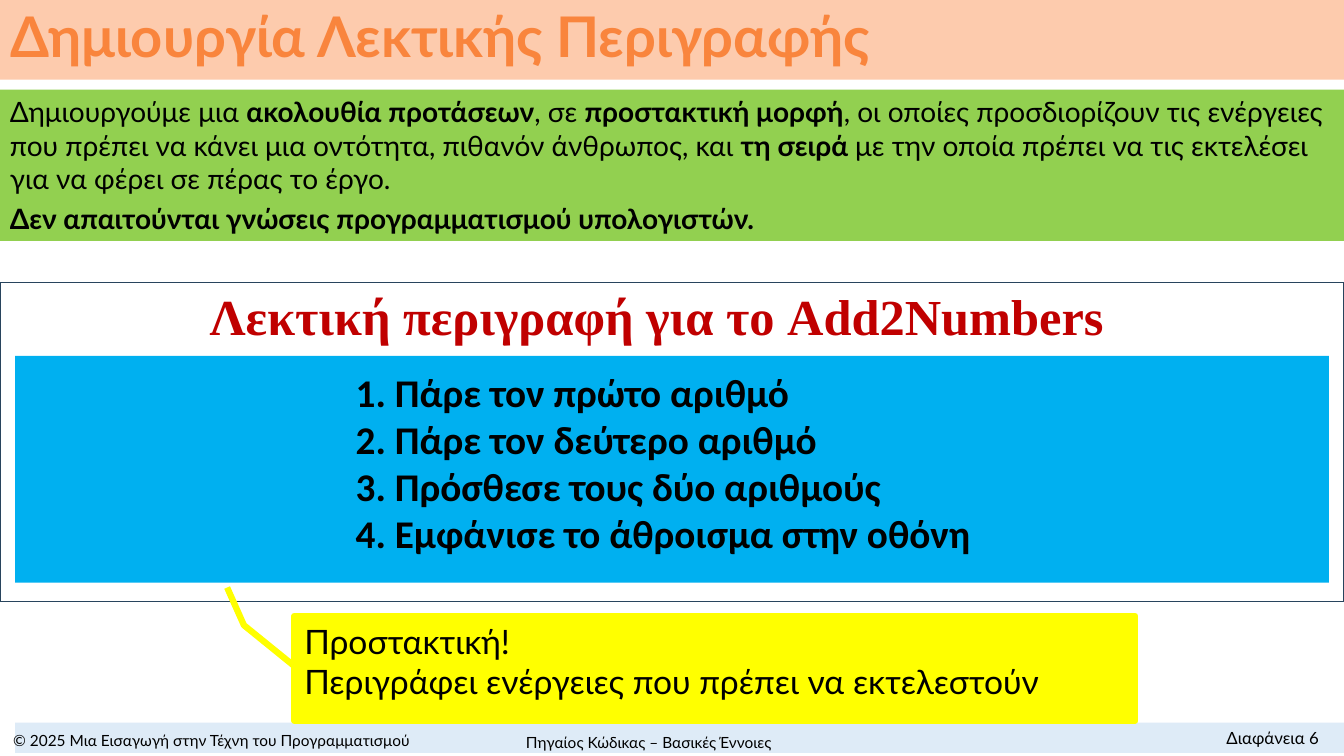
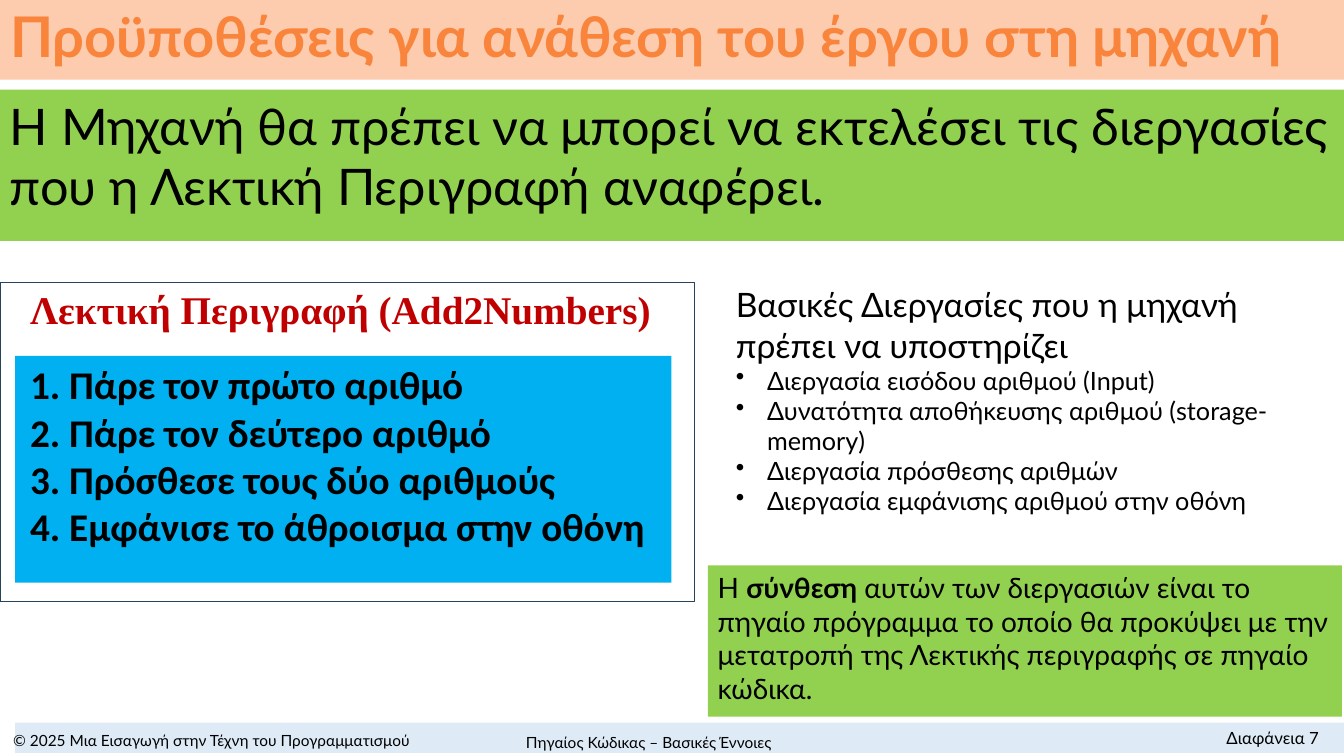
import pptx
import pptx.util
import pptx.dml.color
import pptx.enum.shapes
import pptx.enum.text
import pptx.oxml.ns
from lxml import etree

PX = 9144
SLIDE_W, SLIDE_H = 1333, 750
COLORS = {
    "title_band": "FDCBAD", "title": "F9853D", "intro": "92D050",
    "steps": "00B0F0", "heading": "C00000", "callout": "FFFF00",
    "footer": "DEEBF7", "frame": "28445D", "white": "FFFFFF", "text": "000000",
}
SHAPE = pptx.enum.shapes.MSO_SHAPE
ALIGN = pptx.enum.text.PP_ALIGN
ANCHOR = pptx.enum.text.MSO_ANCHOR
AUTO = pptx.enum.text.MSO_AUTO_SIZE

COPYRIGHT = "© 2025 Μια Εισαγωγή στην Τέχνη του Προγραμματισμού"
CHAPTER = "Πηγαίος Κώδικας – Βασικές Έννοιες"
STEPS = [
    "1. Πάρε τον πρώτο αριθμό",
    "2. Πάρε τον δεύτερο αριθμό",
    "3. Πρόσθεσε τους δύο αριθμούς",
    "4. Εμφάνισε το άθροισμα στην οθόνη",
]
SLIDES = [
    {
        "number": 6,
        "title": "Δημιουργία Λεκτικής Περιγραφής",
        "intro": [
            "Δημιουργούμε μια **ακολουθία προτάσεων**, σε **προστακτική μορφή**, "
            "οι οποίες προσδιορίζουν τις ενέργειες που πρέπει να κάνει μια οντότητα, "
            "πιθανόν άνθρωπος, και **τη σειρά **με την οποία πρέπει να τις εκτελέσει "
            "για να φέρει σε πέρας το έργο.",
            "**Δεν απαιτούνται γνώσεις προγραμματισμού υπολογιστών.**",
        ],
        "intro_size": 20,
        "heading": "Λεκτική περιγραφή για το Add2Numbers",
        "heading_size": 36,
        "heading_w": 1303,
        "frame_w": 1333,
        "steps_w": 1303,
        "list_at": (343, 360),
    },
    {
        "number": 7,
        "title": "Προϋποθέσεις για ανάθεση του έργου στη μηχανή",
        "intro": ["Η Μηχανή θα πρέπει να μπορεί να εκτελέσει τις διεργασίες "
                  "που η Λεκτική Περιγραφή αναφέρει."],
        "intro_size": 36,
        "heading": "Λεκτική Περιγραφή (Add2Numbers)",
        "heading_size": 28,
        "heading_w": 675,
        "frame_w": 689,
        "steps_w": 651,
        "list_at": (20, 353),
    },
]
CALLOUT = ["Προστακτική!", "Περιγράφει ενέργειες που πρέπει να εκτελεστούν"]
CALLOUT_ADJUST = [0.48, 0, 0.09, -0.06, -0.27, -0.08]
OPERATIONS_HEADING = "Βασικές Διεργασίες που η μηχανή πρέπει να υποστηρίζει"
OPERATIONS = [
    "Διεργασία εισόδου αριθμού (Input)",
    "Δυνατότητα αποθήκευσης αριθμού (storage-memory)",
    "Διεργασία πρόσθεσης αριθμών",
    "Διεργασία εμφάνισης αριθμού στην οθόνη",
]
SYNTHESIS = ["Η **σύνθεση** αυτών των διεργασιών είναι το πηγαίο πρόγραμμα το οποίο "
             "θα προκύψει με την μετατροπή της Λεκτικής περιγραφής σε πηγαίο κώδικα."]


def px(*lengths):
    return [pptx.util.Emu(n * PX) for n in lengths]


def rgb(name):
    return pptx.dml.color.RGBColor.from_string(COLORS[name])


def add_box(slide, at, fill, line=None, weight=1, kind=SHAPE.RECTANGLE):
    sp = slide.shapes.add_shape(kind, *px(*at))
    sp.shadow.inherit = False
    sp.fill.solid()
    sp.fill.fore_color.rgb = rgb(fill)
    if line:
        sp.line.color.rgb = rgb(line)
        sp.line.width = pptx.util.Pt(weight)
    else:
        sp.line.fill.background()
    return sp


def add_text(slide, at, lines, **fmt):
    write(slide.shapes.add_textbox(*px(*at)), lines, **fmt)


def write(sp, lines, size=20, font="Lato", color="text", bold=False, align=ALIGN.LEFT,
          anchor=ANCHOR.TOP, before=0, spacing=None, bullet=False, append=False):
    tf = sp.text_frame
    tf.word_wrap = True
    tf.auto_size = AUTO.NONE
    tf.vertical_anchor = anchor
    for i, line in enumerate(lines):
        first = i == 0 and not append
        p = tf.paragraphs[0] if first else tf.add_paragraph()
        if bullet:
            pPr = p._p.get_or_add_pPr()
            pPr.set("marL", str(31 * PX))
            pPr.set("indent", str(-31 * PX))
            etree.SubElement(pPr, pptx.oxml.ns.qn("a:buChar")).set("char", "•")
        p.alignment = align
        if spacing:
            p.line_spacing = spacing
        if before and not first:
            p.space_before = pptx.util.Pt(before)
        for j, part in enumerate(line.split("**")):
            if part:
                r = p.add_run()
                r.text = part
                r.font.name = font
                r.font.size = pptx.util.Pt(size)
                r.font.bold = bold or j % 2 == 1
                r.font.color.rgb = rgb(color)


def add_frame(prs, data):
    slide = prs.slides.add_slide(prs.slide_layouts[5])
    title = slide.shapes.title
    title.left, title.top, title.width, title.height = px(0, 0, SLIDE_W, 79)
    title.fill.solid()
    title.fill.fore_color.rgb = rgb("title_band")
    write(title, [data["title"]], size=40, color="title", bold=True,
          anchor=ANCHOR.MIDDLE, spacing=0.9)
    add_box(slide, (15, 717, SLIDE_W - 15, 30), "footer")
    add_text(slide, (0, 722, 420, 26), [COPYRIGHT], size=11,
             align=ALIGN.CENTER, anchor=ANCHOR.MIDDLE)
    add_text(slide, (454, 723, 379, 27), [CHAPTER], size=11,
             align=ALIGN.CENTER, anchor=ANCHOR.MIDDLE)
    add_text(slide, (1112, 717, 206, 30), [f"Διαφάνεια {data['number']}"], size=12,
             align=ALIGN.RIGHT)
    return slide


def add_description(slide, data):
    intro = add_box(slide, (0, 89, SLIDE_W, 150), "intro")
    write(intro, data["intro"], size=data["intro_size"], before=4)
    add_box(slide, (0, 280, data["frame_w"], 317), "white", line="frame")
    add_box(slide, (15, 353, data["steps_w"], 225), "steps")
    add_text(slide, (0, 278, data["heading_w"], 71), [data["heading"]],
             size=data["heading_size"], font="Times New Roman", color="heading",
             bold=True, align=ALIGN.CENTER)
    add_text(slide, (*data["list_at"], 647, 215), STEPS, size=28, font="Calibri", bold=True)


def add_callout(slide):
    sp = add_box(slide, (292, 611, 834, 104), "callout", line="callout", weight=4.5,
                 kind=SHAPE.LINE_CALLOUT_2)
    for i, value in enumerate(CALLOUT_ADJUST):
        sp.adjustments[i] = value
    write(sp, CALLOUT, size=24)


def add_operations(slide):
    sp = slide.shapes.add_textbox(*px(720, 277, 594, 242))
    write(sp, [OPERATIONS_HEADING], size=24)
    write(sp, OPERATIONS, size=18, bullet=True, append=True)
    write(add_box(slide, (702, 561, 629, 150), "intro"), SYNTHESIS)


def main():
    prs = pptx.Presentation()
    prs.slide_width, prs.slide_height = px(SLIDE_W, SLIDE_H)
    for data, add_details in zip(SLIDES, (add_callout, add_operations)):
        slide = add_frame(prs, data)
        add_description(slide, data)
        add_details(slide)
    prs.save("out.pptx")


if __name__ == "__main__":
    main()
